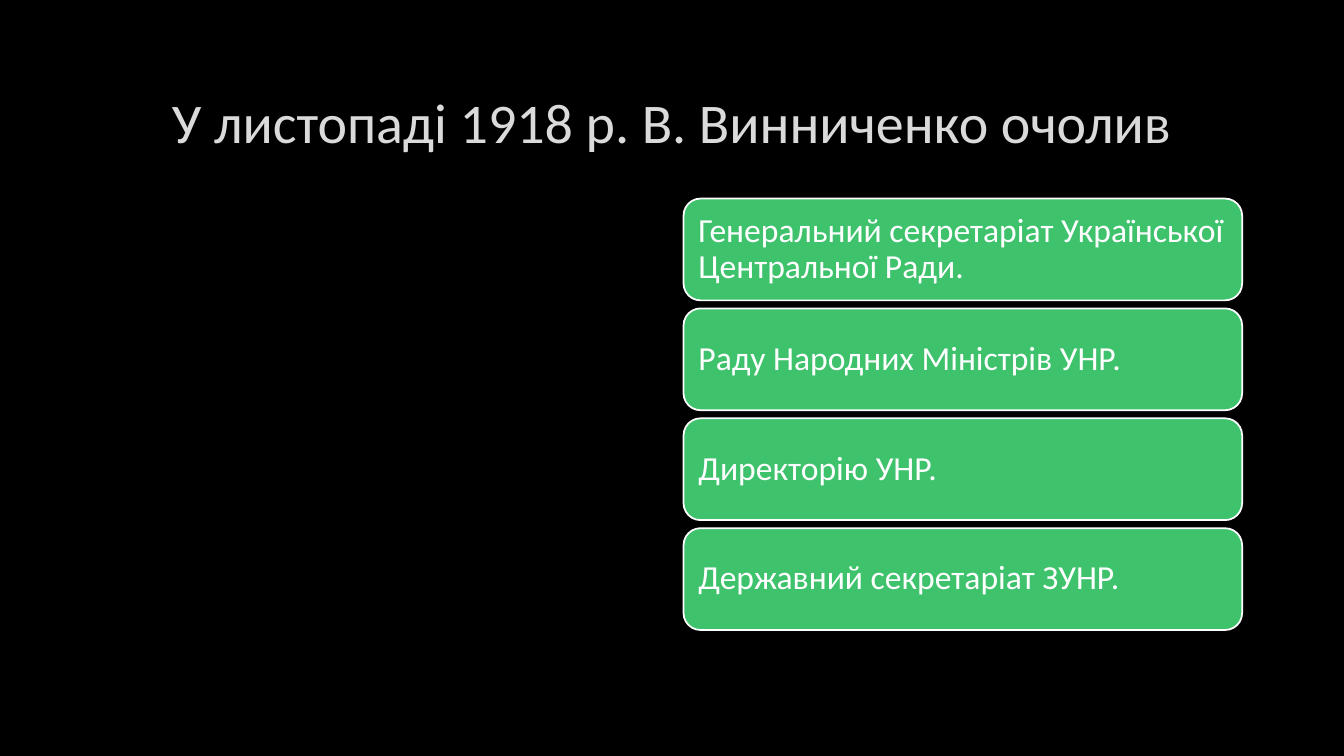
from pptx import Presentation
from pptx.dml.color import RGBColor
from pptx.enum.shapes import MSO_SHAPE
from pptx.enum.text import MSO_ANCHOR, PP_ALIGN
from pptx.util import Inches, Pt

BLACK = RGBColor(0x00, 0x00, 0x00)
WHITE = RGBColor(0xFF, 0xFF, 0xFF)
GREEN = RGBColor(0x3E, 0xC2, 0x6C)
LIGHT_GREY = RGBColor(0xDA, 0xDA, 0xDA)
FONT = "Calibri"

QUESTION = "У листопаді 1918 р. В. Винниченко очолив"
ANSWERS = [
    "Генеральний секретаріат Української Центральної Ради.",
    "Раду Народних Міністрів УНР.",
    "Директорію УНР.",
    "Державний секретаріат ЗУНР.",
]
ANSWER_TOP = 1.97
ANSWER_STEP = 1.09


def write_text(frame, text, size, color, align):
    frame.word_wrap = True
    frame.vertical_anchor = MSO_ANCHOR.MIDDLE
    para = frame.paragraphs[0]
    para.alignment = align
    span = para.add_run()
    span.text = text
    span.font.name = FONT
    span.font.size = Pt(size)
    span.font.color.rgb = color
    return para


def add_title(page, text):
    title = page.shapes.title
    title.left, title.top = Inches(1), Inches(0.67)
    title.width, title.height = Inches(11.32), Inches(1.06)
    write_text(title.text_frame, text, 40, LIGHT_GREY, PP_ALIGN.CENTER)


def add_answer(page, text, top):
    box = page.shapes.add_shape(
        MSO_SHAPE.ROUNDED_RECTANGLE,
        Inches(6.78), Inches(top), Inches(5.54), Inches(1.01))
    box.shadow.inherit = False
    box.fill.solid()
    box.fill.fore_color.rgb = GREEN
    box.line.color.rgb = WHITE
    box.line.width = Pt(1.25)
    frame = box.text_frame
    frame.margin_left = frame.margin_right = Inches(0.1)
    frame.margin_top = frame.margin_bottom = Inches(0.1)
    para = write_text(frame, text, 24, WHITE, PP_ALIGN.LEFT)
    para.line_spacing = 0.9


def main():
    deck = Presentation()
    deck.slide_width, deck.slide_height = Inches(13.33), Inches(7.5)

    # Title-only page on a black background
    page = deck.slides.add_slide(deck.slide_layouts[5])
    page.background.fill.solid()
    page.background.fill.fore_color.rgb = BLACK
    add_title(page, QUESTION)

    # Column of answer choices
    for index, answer in enumerate(ANSWERS):
        add_answer(page, answer, ANSWER_TOP + index * ANSWER_STEP)

    deck.save("out.pptx")


if __name__ == "__main__":
    main()
